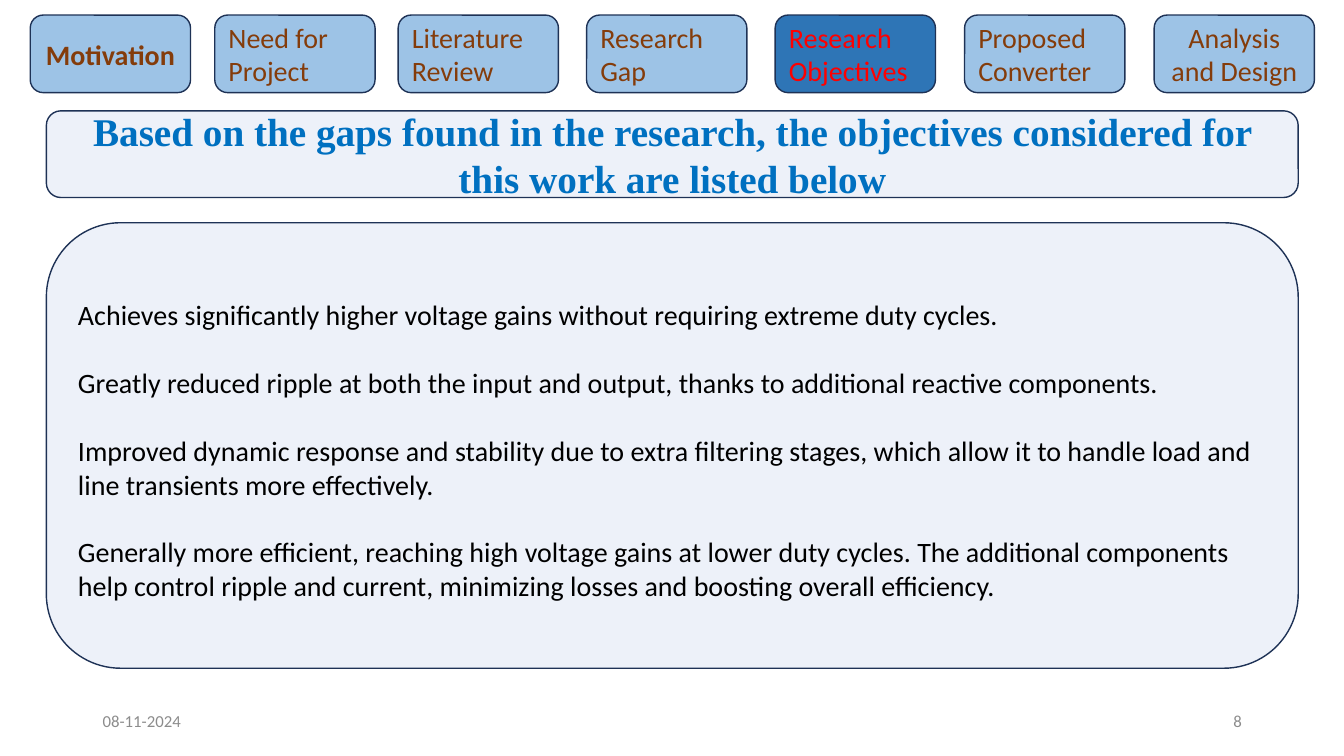
from pptx import Presentation
from pptx.dml.color import RGBColor
from pptx.enum import shapes, text
from pptx.util import Pt

PALE = RGBColor(0xED, 0xF1, 0xF9)
LIGHT_BLUE = RGBColor(0x9D, 0xC3, 0xE6)
ACTIVE_BLUE = RGBColor(0x2E, 0x75, 0xB6)
NAVY = RGBColor(0x1E, 0x32, 0x56)
TITLE_BLUE = RGBColor(0x00, 0x70, 0xC0)
BROWN = RGBColor(0x84, 0x3C, 0x0B)
RED = RGBColor(0xFF, 0x00, 0x00)
BLACK = RGBColor(0x00, 0x00, 0x00)
GREY = RGBColor(0x8C, 0x8C, 0x8C)

LEFT, CENTER, RIGHT = text.PP_ALIGN.LEFT, text.PP_ALIGN.CENTER, text.PP_ALIGN.RIGHT

prs = Presentation()
prs.slide_width, prs.slide_height = Pt(960), Pt(540)
s = prs.slides.add_slide(prs.slide_layouts[6])


def add_panel(left, top, width, height, fill):
    sp = s.shapes.add_shape(shapes.MSO_SHAPE.ROUNDED_RECTANGLE,
                            Pt(left), Pt(top), Pt(width), Pt(height))
    sp.shadow.inherit = False
    sp.fill.solid()
    sp.fill.fore_color.rgb = fill
    sp.line.color.rgb = NAVY
    sp.line.width = Pt(1)
    return sp.text_frame


def write(tf, lines, size, color, align=LEFT, bold=False, font="Calibri", gap=0):
    tf.word_wrap = True
    tf.vertical_anchor = text.MSO_ANCHOR.MIDDLE
    for i, line in enumerate(lines):
        p = tf.add_paragraph() if i else tf.paragraphs[0]
        p.alignment = align
        p.space_before = Pt(gap if i else 0)
        p.text = line
        r = p.runs[0]
        r.font.name, r.font.size, r.font.bold = font, Pt(size), bold
        r.font.color.rgb = color


# Objectives panel
tf = add_panel(33.1, 159.1, 894.2, 318.2, PALE)
tf.margin_top = Pt(10)
write(tf, [
    "Achieves significantly higher voltage gains without requiring extreme duty cycles.",
    "Greatly reduced ripple at both the input and output, thanks to additional reactive components.",
    "Improved dynamic response and stability due to extra filtering stages, "
    "which allow it to handle load and line transients more effectively.",
    "Generally more efficient, reaching high voltage gains at lower duty cycles. "
    "The additional components help control ripple and current, "
    "minimizing losses and boosting overall efficiency.",
], 20, BLACK, gap=24.4)

# Title panel
tf = add_panel(33.1, 79.2, 894.2, 61.9, PALE)
tf.margin_top = tf.margin_bottom = 0
write(tf, ["Based on the gaps found in the research, the objectives considered "
           "for this work are listed below"],
      28, TITLE_BLUE, CENTER, True, "Times New Roman")

# Navigation tabs: left, label, alignment
tabs = [
    (21.6, "Motivation", CENTER),
    (153.4, "Need for Project", LEFT),
    (284.4, "Literature Review", LEFT),
    (419, "Research Gap", LEFT),
    (553.7, "Research Objectives", LEFT),
    (689, "Proposed Converter", LEFT),
    (824.4, "Analysis and Design", CENTER),
]
for left, label, align in tabs:
    active = label == "Research Objectives"
    tf = add_panel(left, 10.8, 114.5, 55.4, ACTIVE_BLUE if active else LIGHT_BLUE)
    write(tf, [label], 20, RED if active else BROWN, align, label == "Motivation")

# Footer: date and slide number
for left, label, align in [(66.2, "08-11-2024", LEFT), (678.2, "8", RIGHT)]:
    tf = s.shapes.add_textbox(Pt(left), Pt(500.4), Pt(216), Pt(28.8)).text_frame
    write(tf, [label], 12, GREY, align)

prs.save("out.pptx")
